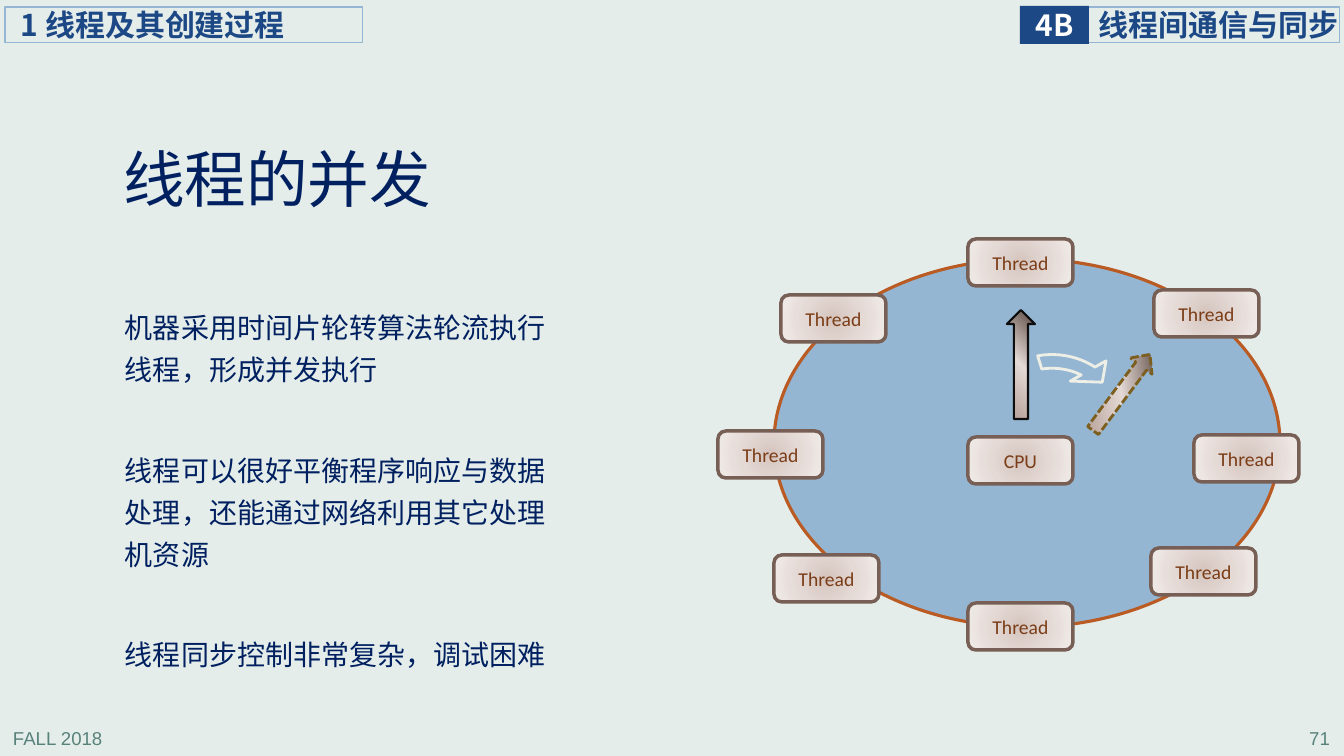
from lxml import etree
from pptx import Presentation
from pptx.dml.color import RGBColor
from pptx.enum.dml import MSO_LINE
from pptx.enum.shapes import MSO_SHAPE
from pptx.enum.text import MSO_ANCHOR, PP_ALIGN
from pptx.oxml import parse_xml
from pptx.oxml.ns import nsdecls, qn
from pptx.util import Emu, Pt

RECTANGLE, ROUNDED = MSO_SHAPE.RECTANGLE, MSO_SHAPE.ROUNDED_RECTANGLE
OVAL, UP_ARROW, CIRCULAR_ARROW = MSO_SHAPE.OVAL, MSO_SHAPE.UP_ARROW, MSO_SHAPE.CIRCULAR_ARROW
DASHED = MSO_LINE.SQUARE_DOT
MIDDLE, TOP = MSO_ANCHOR.MIDDLE, MSO_ANCHOR.TOP
LEFT, CENTER, RIGHT = PP_ALIGN.LEFT, PP_ALIGN.CENTER, PP_ALIGN.RIGHT

EMU_PER_PX = 914400 / 100.8
CJK = "Noto Sans CJK SC"
NAVY, BLUE, SKY = "002060", "1C4885", "94B6D2"

HEADER_FONT = {"name": CJK, "size": Pt(21.4), "bold": True}
FOOTER_FONT = {"name": "Arial", "size": Pt(13.3)}
TITLE_FONT = {"name": CJK, "size": Pt(44), "bold": False}
BODY_FONT = {"name": CJK, "size": Pt(20)}
NODE_FONT = {"name": "Calibri", "size": Pt(14)}

NODE_STOPS = ((0, "D5C4BD"), (50, "E4D9D5"), (100, "F1ECEA"))
ARROW_STOPS = ((0, "B39D94"), (50, "E4D9D5"), (100, "594740"))
RADIAL = '<a:path path="circle"><a:fillToRect l="50000" t="50000" r="50000" b="50000"/></a:path>'
DIAGONAL = '<a:lin ang="18900000" scaled="0"/>'

BULLET_TEXTS = (
    "机器采用时间片轮转算法轮流执行线程，形成并发执行",
    "线程可以很好平衡程序响应与数据处理，还能通过网络利用其它处理机资源",
    "线程同步控制非常复杂，调试困难",
)
THREAD_OFFSETS = (
    (250, 0), (436, 51), (476, 196), (433, 309),
    (250, 364), (56, 316), (0, 192), (63, 56),
)


def px(length):
    return Emu(round(length * EMU_PER_PX))


def color(value):
    return RGBColor.from_string(value)


def apply(target, values):
    for name, value in values.items():
        setattr(target, name, value)


def write(paragraph, text, font_values, font_color, alignment=LEFT):
    paragraph.alignment = alignment
    run = paragraph.add_run()
    run.text = text
    apply(run.font, font_values)
    run.font.color.rgb = color(font_color)
    latin = run.font._element.find(qn("a:latin"))
    east_asian = etree.Element(qn("a:ea"), typeface=font_values["name"])
    latin.addnext(east_asian)


def set_frame(shape, insets, anchor, wrap=True):
    frame = shape.text_frame
    margins = dict(zip(("margin_left", "margin_top", "margin_right", "margin_bottom"), map(px, insets)))
    apply(frame, {"word_wrap": wrap, "vertical_anchor": anchor, **margins})
    return frame


def add_text_box(slide, box, insets=(10, 5, 10, 5)):
    shape = slide.shapes.add_textbox(*map(px, box))
    return set_frame(shape, insets, TOP)


def add_shape(slide, kind, box, fill=None, line=None, width=1):
    shape = slide.shapes.add_shape(kind, *map(px, box))
    shape.shadow.inherit = False
    if fill:
        shape.fill.solid()
        shape.fill.fore_color.rgb = color(fill)
    else:
        shape.fill.background()
    if line:
        shape.line.color.rgb = color(line)
        shape.line.width = Pt(width)
    else:
        shape.line.fill.background()
    return shape


def set_gradient(shape, stops, direction):
    stop_xml = "".join(
        f'<a:gs pos="{position * 1000}"><a:srgbClr val="{value}"/></a:gs>' for position, value in stops
    )
    gradient = parse_xml(
        f'<a:gradFill {nsdecls("a")} rotWithShape="1"><a:gsLst>{stop_xml}</a:gsLst>{direction}</a:gradFill>'
    )
    properties = shape._element.spPr
    properties.replace(properties.find(qn("a:noFill")), gradient)


def add_header_label(slide, box, text, inset):
    shape = add_shape(slide, RECTANGLE, box, line=SKY, width=0.75)
    frame = set_frame(shape, (inset, 0, 0, 0), MIDDLE)
    write(frame.paragraphs[0], text, HEADER_FONT, BLUE)


def add_header(slide, left, top, width):
    add_header_label(slide, (left + width - 253, top, 253, 36), "线程间通信与同步", 12)
    badge = add_shape(slide, RECTANGLE, (left + width - 320, top - 1, 69, 38), fill=BLUE)
    frame = set_frame(badge, (0, 0, 0, 0), MIDDLE, False)
    write(frame.paragraphs[0], "4B", HEADER_FONT, "FFFFFF", CENTER)
    add_header_label(slide, (left, top, 358, 36), "1 线程及其创建过程", 16)


def add_footer(slide, left, top, width):
    for text, offset, alignment in (("FALL 2018", 0, LEFT), ("71", width - 280, RIGHT)):
        frame = add_text_box(slide, (left + offset, top, 280, 31))
        write(frame.paragraphs[0], text, FOOTER_FONT, "578279", alignment)


def set_title(slide, box, text):
    title = slide.shapes.title
    apply(title, dict(zip(("left", "top", "width", "height"), map(px, box))))
    frame = set_frame(title, (8, 4, 8, 4), MIDDLE)
    paragraph = frame.paragraphs[0]
    paragraph.line_spacing = 0.9
    write(paragraph, text, TITLE_FONT, NAVY)


def add_body(slide, box):
    frame = add_text_box(slide, box)
    for index, text in enumerate(BULLET_TEXTS):
        paragraph = frame.add_paragraph() if index else frame.paragraphs[0]
        paragraph.line_spacing = Pt(30)
        paragraph.space_before = Pt(42 if index else 0)
        write(paragraph, text, BODY_FONT, NAVY)


def add_node(slide, left, top, text):
    shape = add_shape(slide, ROUNDED, (left, top, 105, 47), line="775F55", width=2.5)
    set_gradient(shape, NODE_STOPS, RADIAL)
    frame = set_frame(shape, (10, 5, 10, 5), MIDDLE)
    write(frame.paragraphs[0], text, NODE_FONT, "7B3D17", CENTER)


def add_thread_ring(slide, left, top):
    add_shape(slide, OVAL, (left + 56, top + 20, 506, 368), SKY, "B95B22", 2.25)

    current = add_shape(slide, UP_ARROW, (left + 289, top + 71, 28, 109), line="0D0D0D", width=1.5)
    following = add_shape(slide, UP_ARROW, (left + 390, top + 106, 27, 95), line="7C5F1E", width=2)
    following.rotation = 36.8
    following.adjustments[1] = 0.54
    following.line.dash_style = DASHED
    for arrow in (current, following):
        set_gradient(arrow, ARROW_STOPS, DIAGONAL)

    switch = add_shape(slide, CIRCULAR_ARROW, (left + 256, top + 102, 161, 137), SKY, "EDEEE6", 2)
    switch.rotation = 5.5
    for index, value in enumerate((0.1, 11.475, 183.419, 148.226, 0.15)):
        switch.adjustments[index] = value

    add_node(slide, left + 250, top + 198, "CPU")
    for offset_left, offset_top in THREAD_OFFSETS:
        add_node(slide, left + offset_left, top + offset_top, "Thread")


def main():
    presentation = Presentation()
    presentation.slide_width, presentation.slide_height = px(1344), px(756)
    slide = presentation.slides.add_slide(presentation.slide_layouts[5])
    slide.background.fill.solid()
    slide.background.fill.fore_color.rgb = color("E5EDEB")
    add_footer(slide, 3, 722, 1337)
    add_header(slide, 5, 7, 1335)
    set_title(slide, (115, 145, 428, 75), "线程的并发")
    add_thread_ring(slide, 718, 239)
    add_body(slide, (115, 297, 464, 383))
    presentation.save("out.pptx")


if __name__ == "__main__":
    main()
